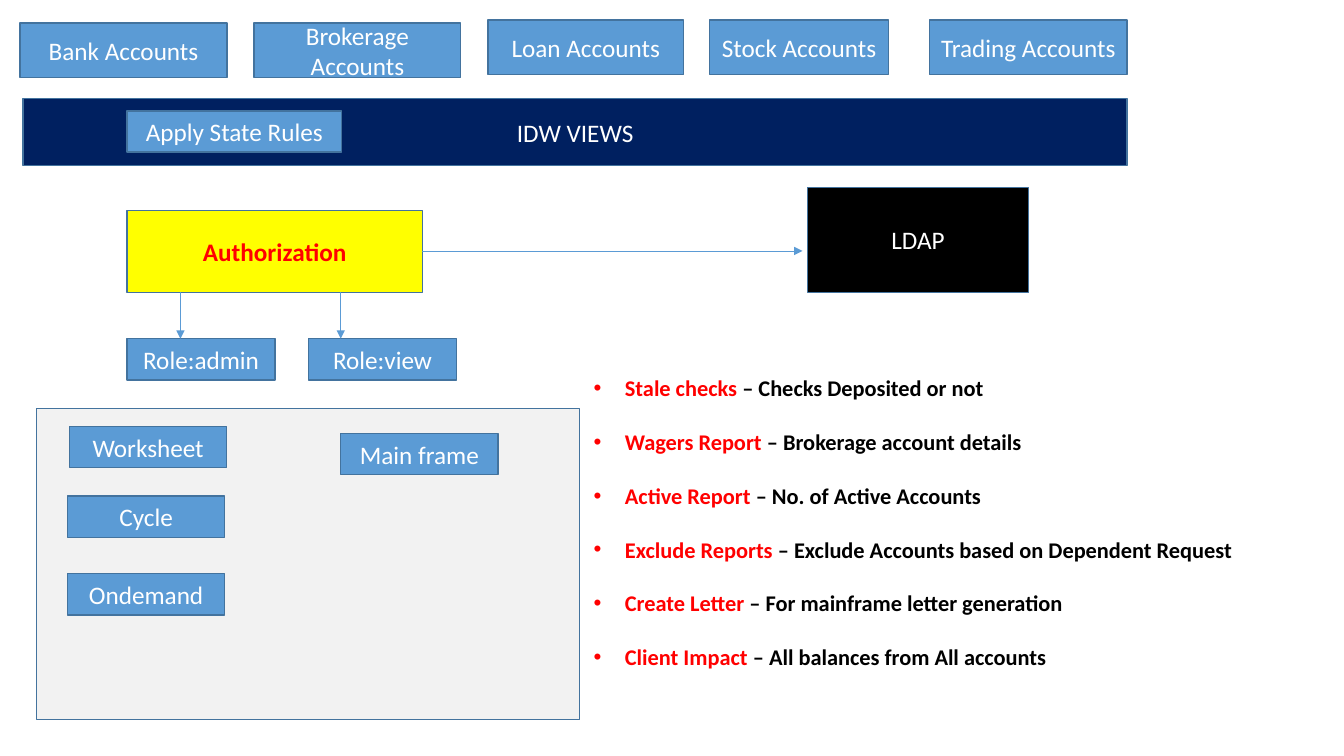
from dataclasses import dataclass

from lxml.etree import SubElement
from pptx import Presentation
from pptx.dml.color import RGBColor
from pptx.enum.shapes import MSO_CONNECTOR, MSO_SHAPE
from pptx.enum.text import MSO_ANCHOR, MSO_AUTO_SIZE, PP_ALIGN
from pptx.oxml.ns import qn
from pptx.slide import Slide
from pptx.util import Inches, Pt

BLUE, OUTLINE, WHITE, RED, BLACK = "5B9BD5", "43739E", "FFFFFF", "FF0000", "000000"
ACCOUNT_HEIGHT = 0.54
LABEL_HEIGHT = 0.41
ROLE_WIDTH = 1.47
CHANNEL_WIDTH = 1.56


@dataclass
class Box:
    text: str
    left: float
    top: float
    width: float
    height: float
    fill: str = BLUE
    color: str = WHITE
    bold: bool = False


@dataclass
class Arrow:
    start: tuple[float, float]
    end: tuple[float, float]


@dataclass
class Report:
    name: str
    purpose: str


BOXES = [
    Box("Bank Accounts", 0.2, 0.23, 2.05, ACCOUNT_HEIGHT),
    Box("Brokerage Accounts", 2.52, 0.23, 2.05, ACCOUNT_HEIGHT),
    Box("Loan Accounts", 4.84, 0.2, 1.94, ACCOUNT_HEIGHT),
    Box("Stock Accounts", 7.04, 0.2, 1.77, ACCOUNT_HEIGHT),
    Box("Trading Accounts", 9.22, 0.2, 1.96, ACCOUNT_HEIGHT),
    Box("IDW VIEWS", 0.23, 0.98, 10.95, 0.66, fill="002060"),
    Box("Apply State Rules", 1.26, 1.1, 2.13, LABEL_HEIGHT),
    Box("Authorization", 1.26, 2.09, 2.93, 0.81, fill="FFFF00", color=RED, bold=True),
    Box("LDAP", 8.01, 1.86, 2.19, 1.04, fill=BLACK),
    Box("Role:admin", 1.26, 3.36, ROLE_WIDTH, LABEL_HEIGHT),
    Box("Role:view", 3.06, 3.36, ROLE_WIDTH, LABEL_HEIGHT),
    Box("", 0.36, 4.05, 5.39, 3.09, fill="F2F2F2"),
    Box("Worksheet", 0.69, 4.23, CHANNEL_WIDTH, LABEL_HEIGHT),
    Box("Cycle", 0.67, 4.92, CHANNEL_WIDTH, LABEL_HEIGHT),
    Box("Ondemand", 0.67, 5.69, CHANNEL_WIDTH, LABEL_HEIGHT),
    Box("Main frame", 3.38, 4.3, CHANNEL_WIDTH, LABEL_HEIGHT),
]

ARROWS = [
    Arrow((1.79, 2.9), (1.79, 3.36)),
    Arrow((3.38, 2.9), (3.38, 3.36)),
    Arrow((4.19, 2.49), (7.96, 2.49)),
]

REPORTS = [
    Report("Stale checks", "Checks Deposited or not"),
    Report("Wagers Report", "Brokerage account details"),
    Report("Active Report", "No. of Active Accounts"),
    Report("Exclude Reports", "Exclude Accounts based on Dependent Request"),
    Report("Create Letter", "For mainframe letter generation"),
    Report("Client Impact", "All balances from All accounts"),
]


def rgb(value: str) -> RGBColor:
    return RGBColor.from_string(value)


def add_span(para, text: str, size: int, color: str, bold: bool) -> None:
    span = para.add_run()
    span.text = text
    font_format = {"name": "Calibri", "size": Pt(size), "bold": bold}
    for name, value in font_format.items():
        setattr(span.font, name, value)
    span.font.color.rgb = rgb(color)


def draw_box(page: Slide, box: Box) -> None:
    bounds = (box.left, box.top, box.width, box.height)
    shape = page.shapes.add_shape(MSO_SHAPE.RECTANGLE, *map(Inches, bounds))
    shape.shadow.inherit = False
    shape.fill.solid()
    shape.fill.fore_color.rgb = rgb(box.fill)
    shape.line.color.rgb = rgb(OUTLINE)
    shape.line.width = Pt(1)
    if box.text:
        frame = shape.text_frame
        frame.word_wrap = True
        frame.vertical_anchor = MSO_ANCHOR.MIDDLE
        para = frame.paragraphs[0]
        para.alignment = PP_ALIGN.CENTER
        add_span(para, box.text, 18, box.color, box.bold)


def draw_arrow(page: Slide, arrow: Arrow) -> None:
    ends = map(Inches, (*arrow.start, *arrow.end))
    connector = page.shapes.add_connector(MSO_CONNECTOR.STRAIGHT, *ends)
    connector.line.color.rgb = rgb(BLUE)
    connector.line.width = Pt(0.5)
    SubElement(connector.line._get_or_add_ln(), qn("a:tailEnd"), type="triangle")
    SubElement(connector._element.spPr, qn("a:effectLst"))


def draw_reports(page: Slide, reports: list[Report]) -> None:
    bounds = (5.79, 3.4, 7.06, 3.33)
    frame = page.shapes.add_textbox(*map(Inches, bounds)).text_frame
    frame.word_wrap = True
    frame.auto_size = MSO_AUTO_SIZE.SHAPE_TO_FIT_TEXT
    indent = Inches(0.31)
    for index, report in enumerate(reports):
        para = frame.add_paragraph() if index else frame.paragraphs[0]
        para.line_spacing = 2.0
        properties = para._p.get_or_add_pPr()
        properties.set("marL", str(indent))
        properties.set("indent", str(-indent))
        SubElement(properties, qn("a:buFont"), typeface="Arial")
        SubElement(properties, qn("a:buChar"), char="•")
        add_span(para, f"{report.name} ", 16, RED, True)
        add_span(para, f"– {report.purpose}", 16, BLACK, True)


def main() -> None:
    deck = Presentation()
    deck.slide_width = Inches(13.33)
    deck.slide_height = Inches(7.5)
    page = deck.slides.add_slide(deck.slide_layouts.get_by_name("Blank"))
    for box in BOXES:
        draw_box(page, box)
    for arrow in ARROWS:
        draw_arrow(page, arrow)
    draw_reports(page, REPORTS)
    deck.save("out.pptx")


if __name__ == "__main__":
    main()
